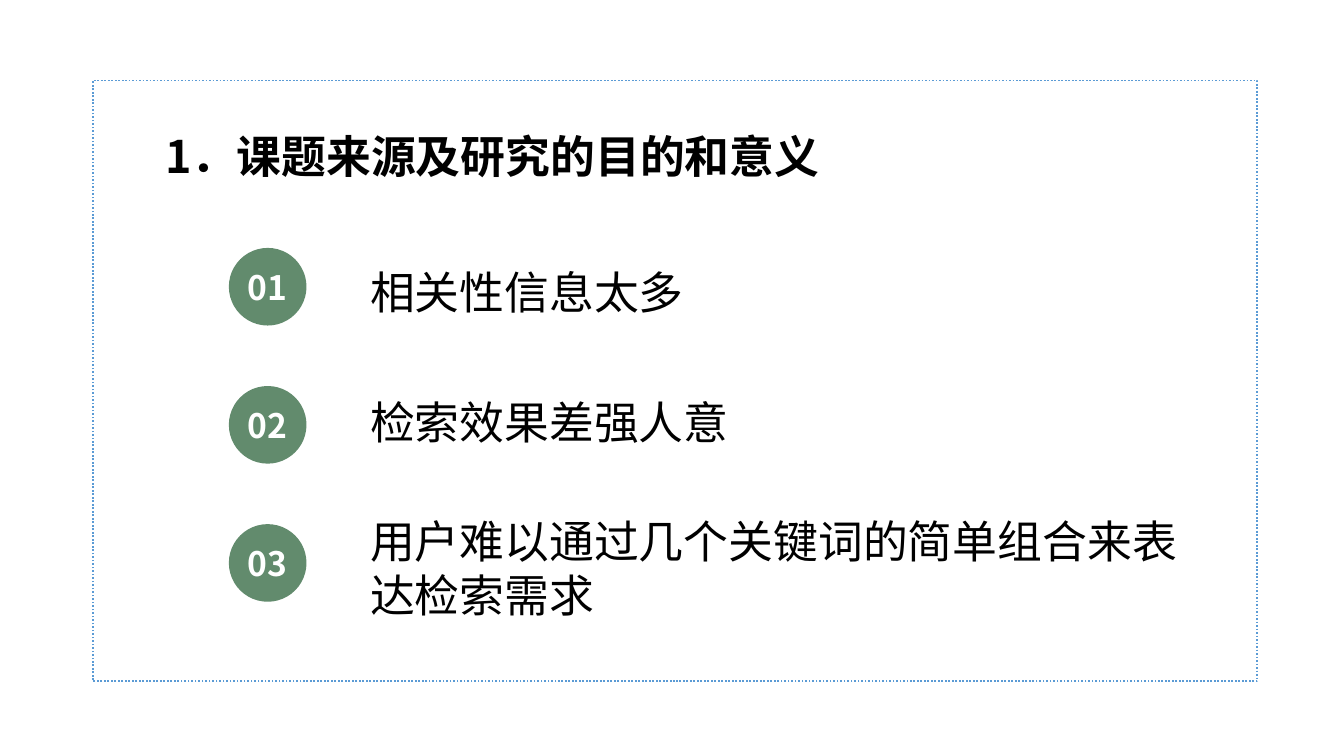
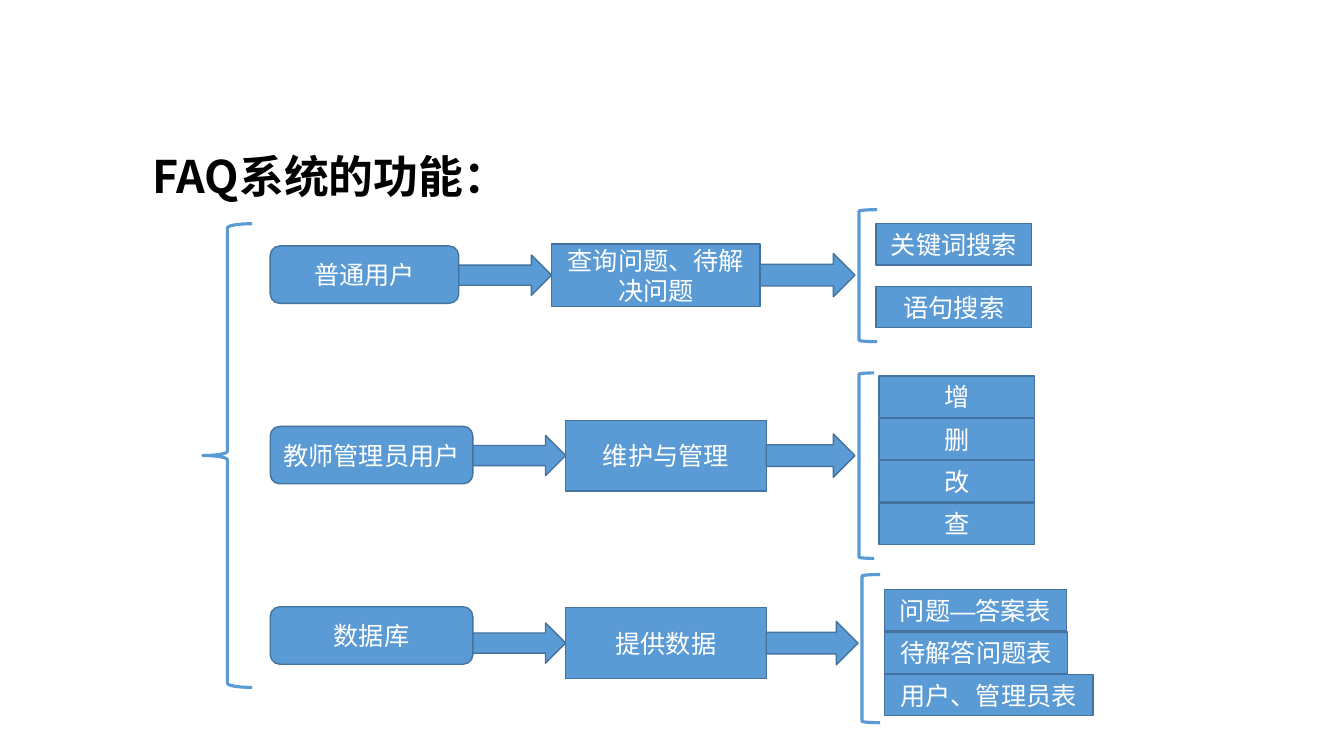
from dataclasses import dataclass

from lxml import etree
from pptx import Presentation
from pptx import util as u
from pptx.dml.color import RGBColor
from pptx.enum import dml, shapes, text
from pptx.oxml import ns

SHAPE = shapes.MSO_SHAPE


@dataclass(frozen=True)
class Theme:
    ink: RGBColor = RGBColor.from_string("000000")
    white: RGBColor = RGBColor.from_string("FFFFFF")
    badge: RGBColor = RGBColor.from_string("628B6D")
    blue: RGBColor = RGBColor.from_string("5B9BD5")
    edge: RGBColor = RGBColor.from_string("43739E")
    heading_font: str = "Noto Sans CJK SC"
    heading_tail_font: str = "Calibri"
    box_font: str = "Arial"
    heading_size: int = 32
    badge_size: int = 24
    box_size: int = 18
    title_leading: float = 48
    list_leading: float = 38.6


THEME = Theme()


@dataclass(frozen=True)
class Lane:
    """One user group: vertical offsets are measured from the lane's axis."""
    user: str
    task: str
    outputs: tuple
    output_widths: tuple
    axis: float
    user_width: float = 2.01
    user_shift: float = 0
    task_left: float = 2.93
    task_size: tuple = (1.99, 0.7)
    bracket: tuple = (5.84, -0.82, 0.15, 1.84)
    first_output: tuple = (6.04, -0.79)
    output_step: float = 0.42


LANES = (
    Lane("普通用户", "查询问题、待解决问题", ("关键词搜索", "语句搜索"),
         (1.54, 1.54), axis=2.73, user_width=1.87, task_left=2.79,
         task_size=(2.07, 0.62), bracket=(5.84, -0.65, 0.18, 1.31),
         first_output=(6.01, -0.51), output_step=0.62),
    Lane("教师管理员用户", "维护与管理", ("增", "删", "改", "查"),
         (1.54,) * 4, axis=4.52),
    Lane("数据库", "提供数据", ("问题—答案表", "待解答问题表", "用户、管理员表"),
         (1.81, 1.82, 2.07), axis=6.38, user_shift=-0.07,
         bracket=(5.87, -0.68, 0.18, 1.47), first_output=(6.09, -0.53)),
)


def set_typeface(font, typeface):
    """Use one typeface for Latin and East Asian letters."""
    font.name = typeface
    east_asian = etree.SubElement(font._rPr, ns.qn("a:ea"))
    east_asian.set("typeface", typeface)


def style(paragraph, typeface, size, color, bold=False):
    font = paragraph.font
    font.size, font.bold = u.Pt(size), bold
    font.color.rgb = color
    set_typeface(font, typeface)


def place(part, left, top, width, height):
    part.left, part.top = u.Inches(left), u.Inches(top)
    part.width, part.height = u.Inches(width), u.Inches(height)


def prepare_frame(frame, inset, anchor):
    frame.word_wrap = True
    frame.auto_size = text.MSO_AUTO_SIZE.NONE
    frame.vertical_anchor = anchor
    frame.margin_left = frame.margin_right = u.Inches(inset)
    frame.margin_top = frame.margin_bottom = u.Inches(inset / 2)


def add_part(slide, kind, box, fill=None, line=None, weight=1):
    part = slide.shapes.add_shape(kind, *map(u.Inches, box))
    part.shadow.inherit = False
    if fill is None:
        part.fill.background()
    else:
        part.fill.solid()
        part.fill.fore_color.rgb = fill
    if line is None:
        part.line.fill.background()
    else:
        part.line.color.rgb = line
        part.line.width = u.Pt(weight)
    return part


def add_label(part, words, typeface, size, bold=False, inset=0.0):
    prepare_frame(part.text_frame, inset, text.MSO_ANCHOR.MIDDLE)
    paragraph = part.text_frame.paragraphs[0]
    paragraph.text = words
    paragraph.alignment = text.PP_ALIGN.CENTER
    style(paragraph, typeface, size, THEME.white, bold)


def flow_box(slide, kind, words, box):
    part = add_part(slide, kind, box, THEME.blue, THEME.edge)
    add_label(part, words, THEME.box_font, THEME.box_size, inset=0.05)


def flow_arrow(slide, left, right, axis, height):
    add_part(slide, SHAPE.RIGHT_ARROW,
             (left, axis - height / 2, right - left, height),
             THEME.blue, THEME.edge)


def outline(slide, kind, box):
    add_part(slide, kind, box, line=THEME.blue, weight=2.25)


def set_title(slide, left, top, lead, tail=""):
    title = slide.shapes.title
    place(title, left, top, 7.34, 0.77)
    prepare_frame(title.text_frame, 0.1, text.MSO_ANCHOR.TOP)
    paragraph = title.text_frame.paragraphs[0]
    paragraph.text = lead
    paragraph.alignment = text.PP_ALIGN.LEFT
    paragraph.line_spacing = u.Pt(THEME.title_leading)
    style(paragraph, THEME.heading_font, THEME.heading_size, THEME.ink, True)
    if tail:
        run = paragraph.add_run()
        run.text = tail
        set_typeface(run.font, THEME.heading_tail_font)


def fill_list(body, box, items):
    """Fill the body placeholder with (words, space before) pairs, unbulleted."""
    place(body, *box)
    frame = body.text_frame
    prepare_frame(frame, 0.1, text.MSO_ANCHOR.TOP)
    for index, (words, gap) in enumerate(items):
        paragraph = frame.add_paragraph() if index else frame.paragraphs[0]
        paragraph.text = words
        paragraph.alignment = text.PP_ALIGN.LEFT
        paragraph.line_spacing = u.Pt(THEME.list_leading)
        paragraph.space_before = u.Pt(gap)
        style(paragraph, THEME.heading_font, THEME.heading_size, THEME.ink)
        defaults = paragraph.font._rPr
        properties = defaults.getparent()
        properties.set("marL", "0")
        properties.set("indent", "0")
        defaults.addprevious(etree.Element(ns.qn("a:buNone")))


def number_badges(slide, left, top, count, step=1.37, diameter=0.77):
    for index in range(count):
        badge = add_part(slide, SHAPE.OVAL,
                         (left, top + index * step, diameter, diameter),
                         THEME.badge)
        add_label(badge, f"{index + 1:02}", THEME.heading_font,
                  THEME.badge_size, bold=True)


def draw_lane(slide, lane, left):
    """Draw user, task and bracketed outputs rightwards from left."""
    axis = lane.axis
    flow_box(slide, SHAPE.ROUNDED_RECTANGLE, lane.user,
             (left, axis + lane.user_shift - 0.29, lane.user_width, 0.57))
    task_left = left + lane.task_left
    task_width, task_height = lane.task_size
    flow_box(slide, SHAPE.RECTANGLE, lane.task,
             (task_left, axis - task_height / 2, task_width, task_height))
    flow_arrow(slide, left + lane.user_width, task_left, axis, 0.4)
    bracket_left, bracket_top, *bracket_size = lane.bracket
    flow_arrow(slide, task_left + task_width, left + bracket_left - 0.04,
               axis, 0.43)
    outline(slide, SHAPE.LEFT_BRACKET,
            (left + bracket_left, axis + bracket_top, *bracket_size))
    output_left, output_top = lane.first_output
    for index, (words, width) in enumerate(zip(lane.outputs, lane.output_widths)):
        top = axis + output_top + index * lane.output_step
        flow_box(slide, SHAPE.RECTANGLE, words,
                 (left + output_left, top, width, 0.41))


def purpose_slide(deck):
    slide = deck.slides.add_slide(deck.slide_layouts[1])
    border = add_part(slide, SHAPE.RECTANGLE, (0.92, 0.8, 11.55, 5.96),
                      line=THEME.blue, weight=1.25)
    border.line.dash_style = dml.MSO_LINE.ROUND_DOT
    set_title(slide, 1.54, 1.09, "1", "．课题来源及研究的目的和意义")
    number_badges(slide, 2.27, 2.46, 3)
    fill_list(slide.placeholders[1], (3.57, 2.57, 8.54, 3.65), (
        ("相关性信息太多", 0),
        ("检索效果差强人意", 54.3),
        ("用户难以通过几个关键词的简单组合来表达检索需求", 46.4),
    ))


def functions_slide(deck):
    slide = deck.slides.add_slide(deck.slide_layouts[5])
    set_title(slide, 1.41, 1.29, "FAQ系统的功能：")
    outline(slide, SHAPE.LEFT_BRACE, (2.01, 2.22, 0.49, 4.6))
    for lane in LANES:
        draw_lane(slide, lane, 2.68)


def main():
    deck = Presentation()
    deck.slide_width, deck.slide_height = u.Inches(13.33), u.Inches(7.5)
    purpose_slide(deck)
    functions_slide(deck)
    deck.save("out.pptx")


if __name__ == "__main__":
    main()
